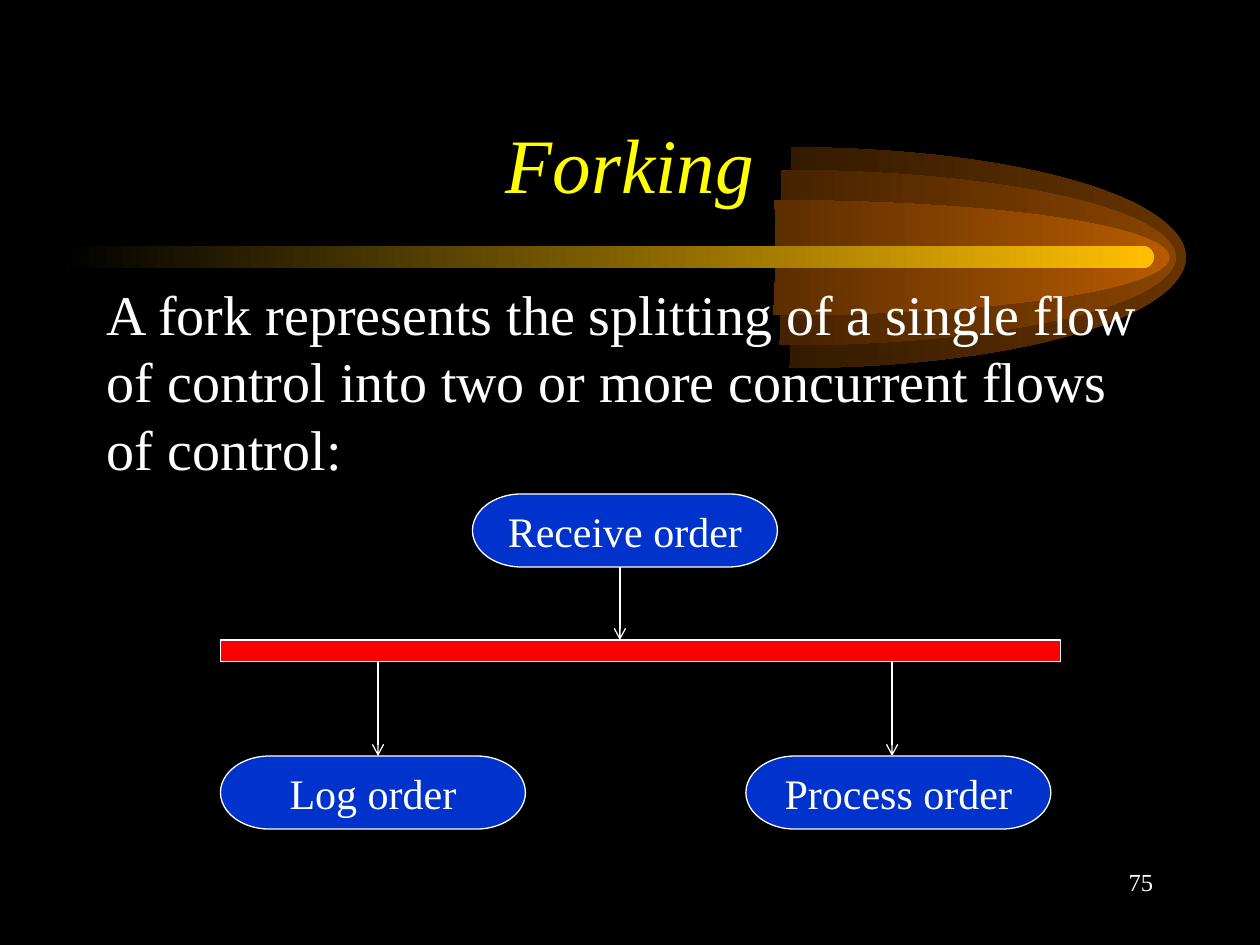
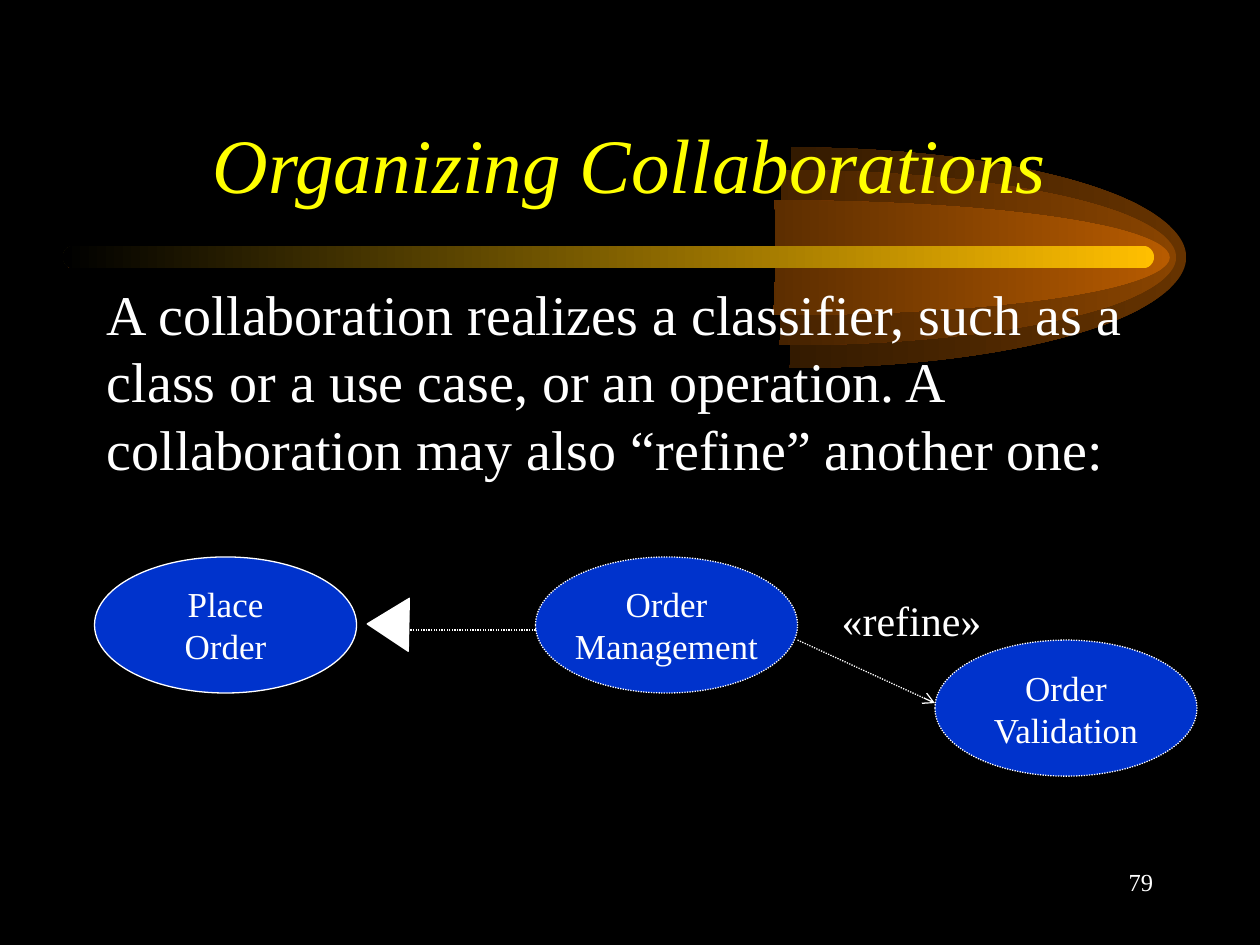
from lxml import etree
from pptx import Presentation
from pptx.dml.color import RGBColor
from pptx.enum.dml import MSO_LINE
from pptx.enum.shapes import MSO_CONNECTOR, MSO_SHAPE
from pptx.enum.text import MSO_ANCHOR, MSO_AUTO_SIZE, PP_ALIGN
from pptx.oxml.ns import qn
from pptx.util import Inches, Pt

BLACK = RGBColor(0, 0, 0)
WHITE = RGBColor(0xFF, 0xFF, 0xFF)
YELLOW = RGBColor(0xFF, 0xFF, 0)
BLUE = RGBColor(0, 0x33, 0xCC)
RED = RGBColor(0xFF, 0, 0)
GOLD = RGBColor(0xFF, 0xBF, 0)
BROWN = RGBColor(0x66, 0x33, 0)
RUST = RGBColor(0x89, 0x44, 0)
AMBER = RGBColor(0xB7, 0x5B, 0)
FONT = "Times New Roman"
DOT = MSO_LINE.ROUND_DOT
STRAIGHT = MSO_CONNECTOR.STRAIGHT
PILL, OVAL = MSO_SHAPE.FLOWCHART_TERMINATOR, MSO_SHAPE.OVAL
RECT, ROUND = MSO_SHAPE.RECTANGLE, MSO_SHAPE.ROUNDED_RECTANGLE
WEDGE = MSO_SHAPE.ISOSCELES_TRIANGLE
MIDDLE, TOP = MSO_ANCHOR.MIDDLE, MSO_ANCHOR.TOP
LEFT, CENTER, RIGHT = PP_ALIGN.LEFT, PP_ALIGN.CENTER, PP_ALIGN.RIGHT
NO_FIT = MSO_AUTO_SIZE.NONE

FORK = {
    "title": "Forking",
    "body": "A fork represents the splitting of a single flow of control "
            "into two or more concurrent flows of control:",
    "page": "75",
    "bars": [(1.75, 5.08, 6.67, 0.17)],
    "nodes": [("Receive order", 3.75, 3.92, None),
              ("Process order", 5.92, 6, None),
              ("Log order", 1.75, 6, None)],
    "kind": (PILL, 2.42, 0.58, 24),
    "lines": [(4.92, 4.5, 4.92, 5.08, None, True),
              (7.08, 5.25, 7.08, 6, None, True),
              (3, 5.25, 3, 6, None, True)],
}
REFINE = {
    "title": "Organizing Collaborations",
    "body": "A collaboration realizes a classifier, such as a class or a use "
            "case, or an operation. A collaboration may also “refine” "
            "another one:",
    "page": "79",
    "heads": [(2.87, 4.79, 0.42, 0.33)],
    "nodes": [("Place\nOrder", 0.75, 4.42, None),
              ("Order\nManagement", 4.25, 4.42, DOT),
              ("Order\nValidation", 7.42, 5.08, DOT)],
    "kind": (OVAL, 2.08, 1.08, 20),
    "lines": [(4.25, 5, 3, 5, DOT, False),
              (6.33, 5.08, 7.42, 5.58, DOT, True)],
    "labels": [("«refine»", (6.58, 4.67, 1.31, 0.5))],
}
COMET = [
    ((3.16, 1.17, 6.26, 1.75), BROWN),
    ((3.08, 1.35, 6.26, 1.39), RUST),
    ((3.03, 1.59, 6.26, 0.91), AMBER),
]
CURVE = [
    ("moveTo", [(3.12, -1)]),
    ("cubicBezTo", [(4.24, -1), (5.28, -0.81), (5.84, -0.5)]),
    ("cubicBezTo", [(6.4, -0.18), (6.39, 0.18), (5.83, 0.5)]),
    ("cubicBezTo", [(5.27, 0.81), (4.23, 1), (3.11, 1)]),
]
CLOSE = [("lnTo", [(3.13, 0)]), ("close", [])]


def place(*box):
    return [Inches(v) for v in box]


def write(shape, text, size, color=WHITE, align=CENTER, anchor=MIDDLE,
          wrap=True, slant=False):
    frame = shape.text_frame
    frame.text = text
    frame.word_wrap = wrap
    frame.auto_size = NO_FIT
    frame.vertical_anchor = anchor
    for para in frame.paragraphs:
        para.alignment = align
        para.font.name = FONT
        para.font.size = Pt(size)
        para.font.italic = slant
        para.font.color.rgb = color


def fade(shape, color):
    shape.shadow.inherit = False
    shape.line.fill.background()
    shape.fill.gradient()
    shape.fill.gradient_angle = 180
    for stop, tone in zip(shape.fill.gradient_stops, (color, BLACK)):
        stop.color.rgb = tone


def stroke(line, dash=None):
    line.color.rgb = WHITE
    line.width = Pt(0.75)
    if dash:
        line.dash_style = dash


def block(slide, kind, box, color, dash=None):
    shape = slide.shapes.add_shape(kind, *place(*box))
    shape.shadow.inherit = False
    shape.fill.solid()
    shape.fill.fore_color.rgb = color
    stroke(shape.line, dash)
    return shape


def link(slide, x1, y1, x2, y2, dash, arrow):
    wire = slide.shapes.add_connector(STRAIGHT, *place(x1, y1, x2, y2))
    stroke(wire.line, dash)
    if arrow:
        etree.SubElement(wire.line._get_or_add_ln(), qn("a:tailEnd"), type="arrow")
    etree.SubElement(wire._element.spPr, qn("a:effectLst"))


def label(slide, text, box, size, align=CENTER, anchor=MIDDLE):
    area = slide.shapes.add_textbox(*place(*box))
    write(area, text, size, align=align, anchor=anchor)


def trace(track, steps, half):
    for step, points in steps:
        node = etree.SubElement(track, qn("a:" + step))
        for x, y in points:
            etree.SubElement(node, qn("a:pt"), x=str(Inches(x)),
                             y=str(Inches(half * (1 + y))))


def flare(slide, box, color):
    x, y, wide, tall = box
    form = slide.shapes.build_freeform(*place(x, y))
    form.add_line_segments([place(x + wide, y + tall)], close=False)
    shape = form.convert_to_shape()
    fill = next(shape.element.iter(qn("a:path")))
    for node in list(fill):
        fill.remove(node)
    rim = etree.SubElement(fill.getparent(), qn("a:path"), dict(fill.attrib))
    rim.set("fill", "none")
    fill.set("stroke", "0")
    trace(fill, CURVE + CLOSE, tall / 2)
    trace(rim, CURVE, tall / 2)
    fade(shape, color)
    return shape


def dress(slide, layout):
    parts = [flare(slide, box, color) for box, color in COMET]
    band = slide.shapes.add_shape(ROUND, *place(0.5, 1.95, 8.66, 0.18))
    band.adjustments[0] = 0.5
    fade(band, GOLD)
    for part in parts + [band]:
        layout.shapes.element.append(part.element)


def build(slide, data):
    title = slide.shapes.title
    title.left, title.top, title.width, title.height = place(0.75, 0.67, 8.5, 1.25)
    write(title, data["title"], 44, YELLOW, slant=True)
    label(slide, data["body"], (0.75, 2.17, 8.5, 4.5), 32, LEFT, TOP)
    for box in data.get("heads", []):
        block(slide, WEDGE, box, WHITE).rotation = 271.2
    kind, wide, tall, size = data["kind"]
    for text, x, y, dash in data["nodes"]:
        node = block(slide, kind, (x, y, wide, tall), BLUE, dash)
        write(node, text, size, wrap=False)
    for box in data.get("bars", []):
        block(slide, RECT, box, RED)
    for line in data["lines"]:
        link(slide, *line)
    for text, box in data.get("labels", []):
        label(slide, text, box, 24)
    label(slide, data["page"], (7.17, 6.83, 2.08, 0.5), 14, RIGHT, TOP)


def main():
    deck = Presentation()
    deck.slide_width, deck.slide_height = place(10, 7.5)
    back = deck.slide_master.background.fill
    back.solid()
    back.fore_color.rgb = BLACK
    layout = deck.slide_layouts[5]
    slides = [(deck.slides.add_slide(layout), data) for data in (FORK, REFINE)]
    dress(slides[0][0], layout)
    for slide, data in slides:
        build(slide, data)
    deck.save("out.pptx")


if __name__ == "__main__":
    main()
